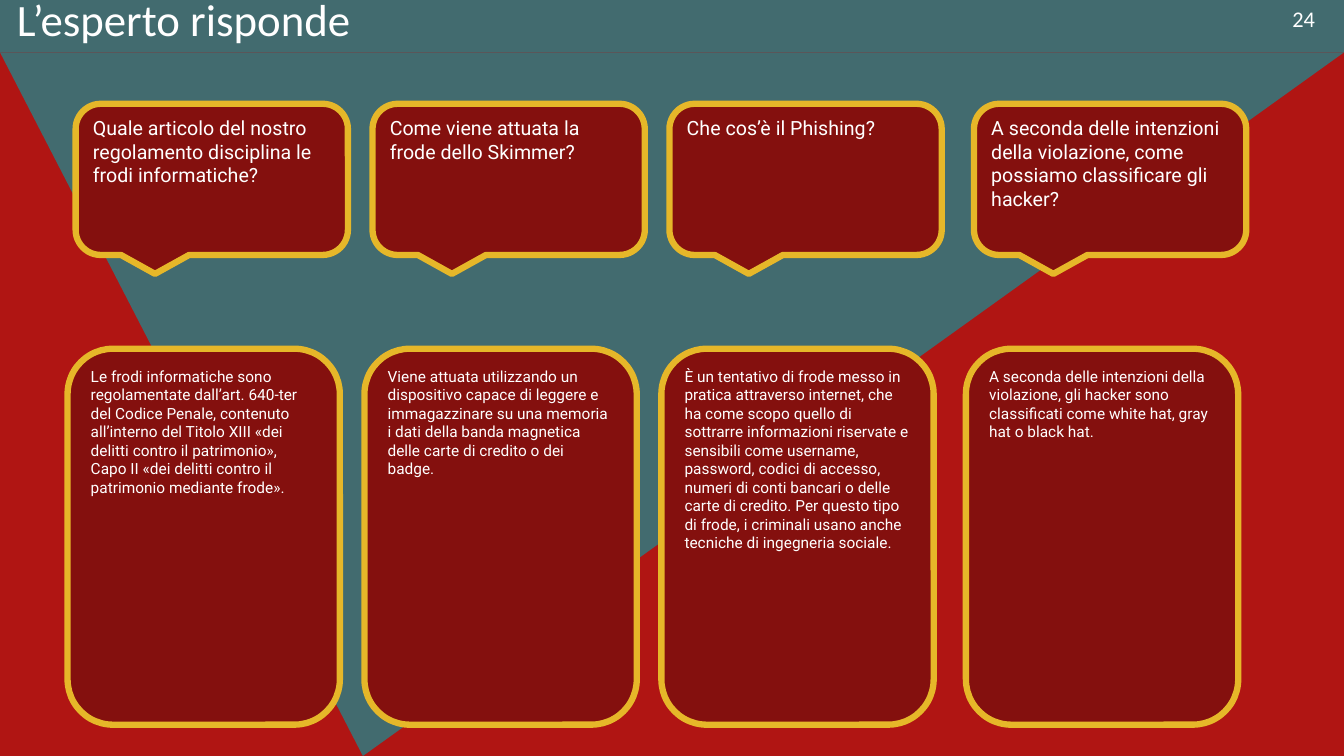
from dataclasses import dataclass

from pptx import Presentation
from pptx import util as u
from pptx.dml.color import RGBColor
from pptx.enum import shapes, text

RED = RGBColor(0xB0, 0x15, 0x13)
DARK_RED = RGBColor(0x84, 0x10, 0x0E)
TEAL = RGBColor(0x42, 0x6B, 0x6F)
GOLD = RGBColor(0xE6, 0xB7, 0x29)
WHITE = RGBColor(0xFF, 0xFF, 0xFF)

# The slide is a grid of 100 columns by 100 rows
WIDTH, HEIGHT = u.Inches(13.33), u.Inches(7.5)
HEADER_ROWS = 6.93
CARD_COLUMNS = 20.26
FIRST_CARD, CARD_PITCH = 5.63, 22.09
LAST_CARD_SHIFT = 0.57
ANSWER_SHIFT = -0.6


@dataclass(frozen=True)
class Area:
    left: float
    top: float
    width: float
    height: float

    def lengths(self) -> tuple[int, int, int, int]:
        return (int(WIDTH * self.left / 100), int(HEIGHT * self.top / 100),
                int(WIDTH * self.width / 100), int(HEIGHT * self.height / 100))


@dataclass(frozen=True)
class Style:
    font: str
    size: float


@dataclass(frozen=True)
class Card:
    question: str
    answer: str


TITLE = Style("Calibri", 32)
NUMBER = Style("Calibri", 16)
QUESTION = Style("Roboto", 14)
ANSWER = Style("Roboto", 11)

CARDS = [
    Card("Quale articolo del nostro regolamento disciplina le frodi informatiche?",
         "Le frodi informatiche sono regolamentate dall’art. 640‐ter "
         "del Codice Penale, contenuto all’interno del Titolo XIII "
         "«dei delitti contro il patrimonio», Capo II «dei delitti contro il "
         "patrimonio mediante frode»."),
    Card("Come viene attuata la frode dello Skimmer?",
         "Viene attuata utilizzando un dispositivo capace di leggere e "
         "immagazzinare su una memoria i dati della banda magnetica delle "
         "carte di credito o dei badge."),
    Card("Che cos’è il Phishing?",
         "È un tentativo di frode messo in pratica attraverso internet, che ha "
         "come scopo quello di sottrarre informazioni riservate e sensibili come "
         "username, password, codici di accesso, numeri di conti bancari o delle "
         "carte di credito. Per questo tipo di frode, i criminali usano anche "
         "tecniche di ingegneria sociale."),
    Card("A seconda delle intenzioni della violazione, come possiamo "
         "classificare gli hacker?",
         "A seconda delle intenzioni della violazione, gli hacker sono "
         "classificati come white hat, gray hat o black hat."),
]


def write(shape, words: str, style: Style) -> None:
    frame = shape.text_frame
    frame.word_wrap = True
    frame.vertical_anchor = text.MSO_ANCHOR.TOP
    paragraph = frame.paragraphs[0]
    paragraph.alignment = text.PP_ALIGN.LEFT
    run = paragraph.add_run()
    run.text = words
    run.font.name = style.font
    run.font.size = u.Pt(style.size)
    run.font.color.rgb = WHITE


def add_label(slide, area: Area, words: str, style: Style) -> None:
    write(slide.shapes.add_textbox(*area.lengths()), words, style)


def add_panel(slide, kind: shapes.MSO_SHAPE, area: Area, color: RGBColor):
    shape = slide.shapes.add_shape(kind, *area.lengths())
    shape.shadow.inherit = False
    shape.fill.solid()
    shape.fill.fore_color.rgb = color
    shape.line.fill.background()
    return shape


def add_bubble(slide, kind: shapes.MSO_SHAPE, area: Area, words: str, style: Style) -> None:
    shape = add_panel(slide, kind, area, DARK_RED)
    shape.line.color.rgb = GOLD
    shape.line.width = u.Pt(4.5)
    write(shape, words, style)


def main() -> None:
    presentation = Presentation()
    presentation.slide_width, presentation.slide_height = WIDTH, HEIGHT
    slide = presentation.slides.add_slide(presentation.slide_layouts[6])

    # Background
    slide.background.fill.solid()
    slide.background.fill.fore_color.rgb = RED
    triangle = add_panel(slide, shapes.MSO_SHAPE.ISOSCELES_TRIANGLE,
                         Area(0, HEADER_ROWS, 100, 100 - HEADER_ROWS), TEAL)
    triangle.rotation = 180
    triangle.adjustments[0] = 0.73

    # Header
    add_panel(slide, shapes.MSO_SHAPE.RECTANGLE, Area(0, 0, 100, HEADER_ROWS), TEAL)
    add_label(slide, Area(95.42, 0, 4.13, 4.93), "24", NUMBER)
    add_label(slide, Area(0.53, -1.8, 94.3, 4.93), "L’esperto risponde", TITLE)

    # Questions above their answers
    for index, card in enumerate(CARDS):
        left = FIRST_CARD + index * CARD_PITCH
        if card is CARDS[-1]:
            left += LAST_CARD_SHIFT
        add_bubble(slide, shapes.MSO_SHAPE.ROUNDED_RECTANGULAR_CALLOUT,
                   Area(left, 13.73, CARD_COLUMNS, 20), card.question, QUESTION)
        add_bubble(slide, shapes.MSO_SHAPE.ROUNDED_RECTANGLE,
                   Area(left + ANSWER_SHIFT, 46.13, CARD_COLUMNS, 49.73),
                   card.answer, ANSWER)

    presentation.save("out.pptx")


if __name__ == "__main__":
    main()
